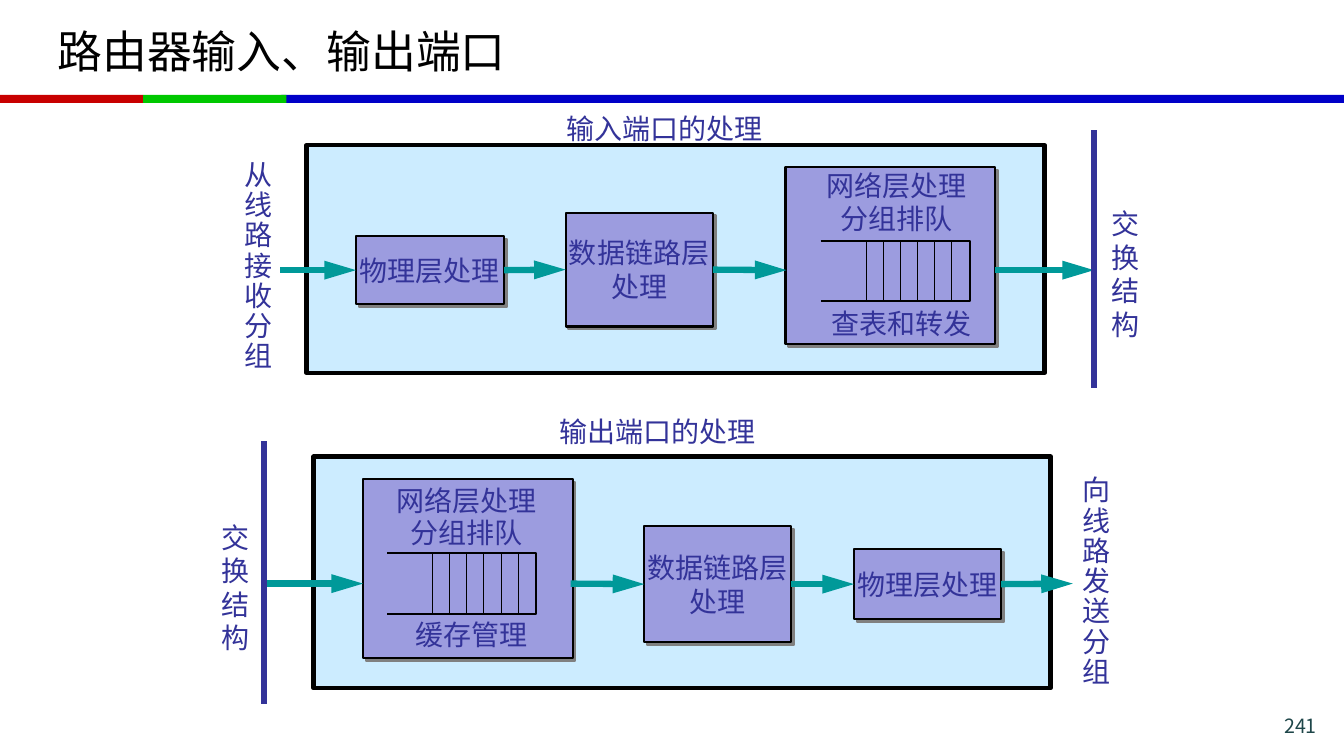
from pptx import Presentation
from pptx.dml.color import RGBColor
from pptx.enum.shapes import MSO_CONNECTOR, MSO_SHAPE
from pptx.enum.text import MSO_ANCHOR as ANCHOR, MSO_AUTO_SIZE as AUTO, PP_ALIGN as ALIGN
from pptx.oxml import parse_xml
from pptx.oxml.ns import nsdecls, qn
from pptx.util import Inches, Pt

FONT = "Noto Sans CJK SC"
BLACK = RGBColor(0x00, 0x00, 0x00)
RED = RGBColor(0xC8, 0x00, 0x00)
GREEN = RGBColor(0x00, 0xC8, 0x00)
BLUE = RGBColor(0x00, 0x00, 0xC8)
INDIGO = RGBColor(0x33, 0x33, 0x99)
TEAL = RGBColor(0x00, 0x99, 0x99)
LAVENDER = RGBColor(0x9C, 0x9C, 0xDF)
SKY = RGBColor(0xCC, 0xEC, 0xFF)
SLATE = RGBColor(0x1E, 0x46, 0x49)

TOP, LEFT, RIGHT = 0, 1, 3
SHADOW = (
    f'<a:outerShdw {nsdecls("a")} dist="35921" dir="2700000" algn="ctr" rotWithShape="0">'
    '<a:srgbClr val="808080"/></a:outerShdw>'
)


def write_text(shape, lines, size=20, color=INDIGO, align=ALIGN.CENTER, spacing=None, **frame_format):
    """Write one paragraph per line; frame_format holds text frame attributes."""
    frame = shape.text_frame
    for name, value in frame_format.items():
        setattr(frame, name, value)
    for i, line in enumerate(lines):
        paragraph = frame.paragraphs[0] if i == 0 else frame.add_paragraph()
        paragraph.alignment = align
        paragraph.line_spacing = spacing
        run = paragraph.add_run()
        run.text = line
        run.font.size = Pt(size)
        run.font.color.rgb = color
        run.font.name = FONT
        run.font._element.append(parse_xml(f'<a:ea {nsdecls("a")} typeface="{FONT}"/>'))


def draw_line(shapes, x1, y1, x2, y2, color, width, arrow=False):
    ends = [Inches(v) for v in (x1, y1, x2, y2)]
    line = shapes.add_connector(MSO_CONNECTOR.STRAIGHT, *ends)
    line.line.color.rgb = color
    line.line.width = Pt(width)
    properties = line._element.spPr
    if arrow:
        head = f'<a:tailEnd {nsdecls("a")} type="triangle" w="med" len="lg"/>'
        properties.find(qn("a:ln")).append(parse_xml(head))
    properties.append(parse_xml(f'<a:effectLst {nsdecls("a")}/>'))
    return line


prs = Presentation()
prs.slide_width, prs.slide_height = Inches(13.33), Inches(7.5)
slide = prs.slides.add_slide(prs.slide_layouts[5])
shapes = slide.shapes

title = shapes.title
title_place = {"left": 0.47, "top": 0.08, "width": 12.39, "height": 0.84}
for name, value in title_place.items():
    setattr(title, name, Inches(value))
write_text(title, ["路由器输入、输出端口"], 32, BLACK, ALIGN.LEFT,
           vertical_anchor=ANCHOR.MIDDLE, auto_size=AUTO.NONE)

for left, width, color in [(2.79, 10.54, BLUE), (0, 1.42, RED), (1.42, 1.42, GREEN)]:
    band = shapes.add_shape(MSO_SHAPE.RECTANGLE, Inches(left), Inches(0.94), Inches(width), Inches(0.08))
    band.shadow.inherit = False
    band.fill.solid()
    band.fill.fore_color.rgb = color
    band.line.fill.background()

page_number = shapes.add_textbox(Inches(11.86), Inches(7.06), Inches(1.3), Inches(0.28))
write_text(page_number, ["241"], 14, SLATE, ALIGN.RIGHT, word_wrap=True,
           vertical_anchor=ANCHOR.MIDDLE, margin_top=0, margin_bottom=0)

# Boxes: place, lines. Arrows: from x, to x, box it leaves, box it enters.
# Labels: place, lines, line spacing.
ports = [
    {
        "panel": (3.04, 1.44, 7.32, 2.26),
        "boxes": {
            "physical": ((3.53, 2.34, 1.47, 0.68), ["物理层处理"]),
            "link": ((5.61, 2.11, 1.46, 1.13), ["数据链路层", "处理"]),
            "network": ((7.79, 1.66, 2.08, 1.75), []),
        },
        "flow_y": 2.68,
        "arrows": [
            (2.78, 3.53, None, "physical"),
            (5.0, 5.61, "physical", "link"),
            (7.07, 7.8, "link", None),
            (9.87, 10.85, None, None),
        ],
        "fabric": (10.85, 1.29, 3.85),
        "queue": (8.14, 2.39),
        "labels": [
            ((8.1, 1.62, 1.59, 0.77), ["网络层处理", "分组排队"], None),
            ((10.92, 2, 0.48, 1.43), "交换结构", None),
            ((5.43, 1.06, 2.33, 0.44), ["输入端口的处理"], None),
            ((2.32, 1.55, 0.48, 2.2), "从线路接收分组", 0.9),
            ((8.15, 2.99, 1.59, 0.43), ["查表和转发"], None),
        ],
    },
    {
        "panel": (3.11, 4.53, 7.31, 2.3),
        "boxes": {
            "physical": ((8.47, 5.45, 1.46, 0.69), ["物理层处理"]),
            "link": ((6.39, 5.22, 1.46, 1.15), ["数据链路层", "处理"]),
            "network": ((3.6, 4.75, 2.08, 1.78), []),
        },
        "flow_y": 5.79,
        "arrows": [
            (9.93, 10.64, "physical", None),
            (7.85, 8.47, "link", "physical"),
            (5.66, 6.39, None, "link"),
            (2.62, 3.6, None, None),
        ],
        "fabric": (2.62, 4.38, 6.98),
        "queue": (3.84, 5.49),
        "labels": [
            ((3.83, 4.77, 1.6, 0.74), ["网络层处理", "分组排队"], 0.95),
            ((10.64, 4.68, 0.48, 2.2), "向线路发送分组", 0.9),
            ((4.02, 6.08, 1.31, 0.43), ["缓存管理"], None),
            ((2.1, 5.11, 0.48, 1.43), "交换结构", None),
            ((5.36, 4.06, 2.33, 0.44), ["输出端口的处理"], None),
        ],
    },
]

QUEUE_WIDTH, QUEUE_HEIGHT = 1.48, 0.6
SLOT_START, SLOT_STEP, SLOT_LINES = 0.45, 0.17, 6

for port in ports:
    panel = shapes.add_shape(MSO_SHAPE.RECTANGLE, *map(Inches, port["panel"]))
    panel.shadow.inherit = False
    panel.fill.solid()
    panel.fill.fore_color.rgb = SKY
    panel.line.color.rgb = BLACK
    panel.line.width = Pt(3)

    layers = {}
    for layer, (place, lines) in port["boxes"].items():
        box = shapes.add_shape(MSO_SHAPE.RECTANGLE, *map(Inches, place))
        box.shadow.inherit = False
        box._element.spPr.find(qn("a:effectLst")).append(parse_xml(SHADOW))
        box.fill.solid()
        box.fill.fore_color.rgb = LAVENDER
        box.line.color.rgb = BLACK
        box.line.width = Pt(1.5)
        write_text(box, lines, word_wrap=False, vertical_anchor=ANCHOR.MIDDLE)
        layers[layer] = box

    flow_y = port["flow_y"]
    for start, end, source, target in port["arrows"]:
        arrow = draw_line(shapes, start, flow_y, end, flow_y, TEAL, 4.5, arrow=True)
        if source:
            arrow.begin_connect(layers[source], RIGHT)
        if target:
            arrow.end_connect(layers[target], LEFT)

    fabric_x, fabric_top, fabric_bottom = port["fabric"]
    draw_line(shapes, fabric_x, fabric_top, fabric_x, fabric_bottom, INDIGO, 4.5)

    x, y = port["queue"]
    right, bottom = x + QUEUE_WIDTH, y + QUEUE_HEIGHT
    queue = shapes.add_group_shape()
    outline = queue.shapes.build_freeform(Inches(x), Inches(y))
    corners = [(right, y), (right, bottom), (x, bottom)]
    outline.add_line_segments([(Inches(cx), Inches(cy)) for cx, cy in corners], close=False)
    buffer = outline.convert_to_shape()
    buffer.shadow.inherit = False
    buffer.fill.background()
    buffer.line.color.rgb = BLACK
    buffer.line.width = Pt(1.5)
    for slot in range(SLOT_LINES):
        slot_x = x + SLOT_START + slot * SLOT_STEP
        draw_line(queue.shapes, slot_x, y, slot_x, bottom, BLACK, 0.75)

    for place, lines, spacing in port["labels"]:
        label = shapes.add_textbox(*map(Inches, place))
        write_text(label, lines, spacing=spacing, word_wrap=False, auto_size=AUTO.SHAPE_TO_FIT_TEXT)

prs.save("out.pptx")
